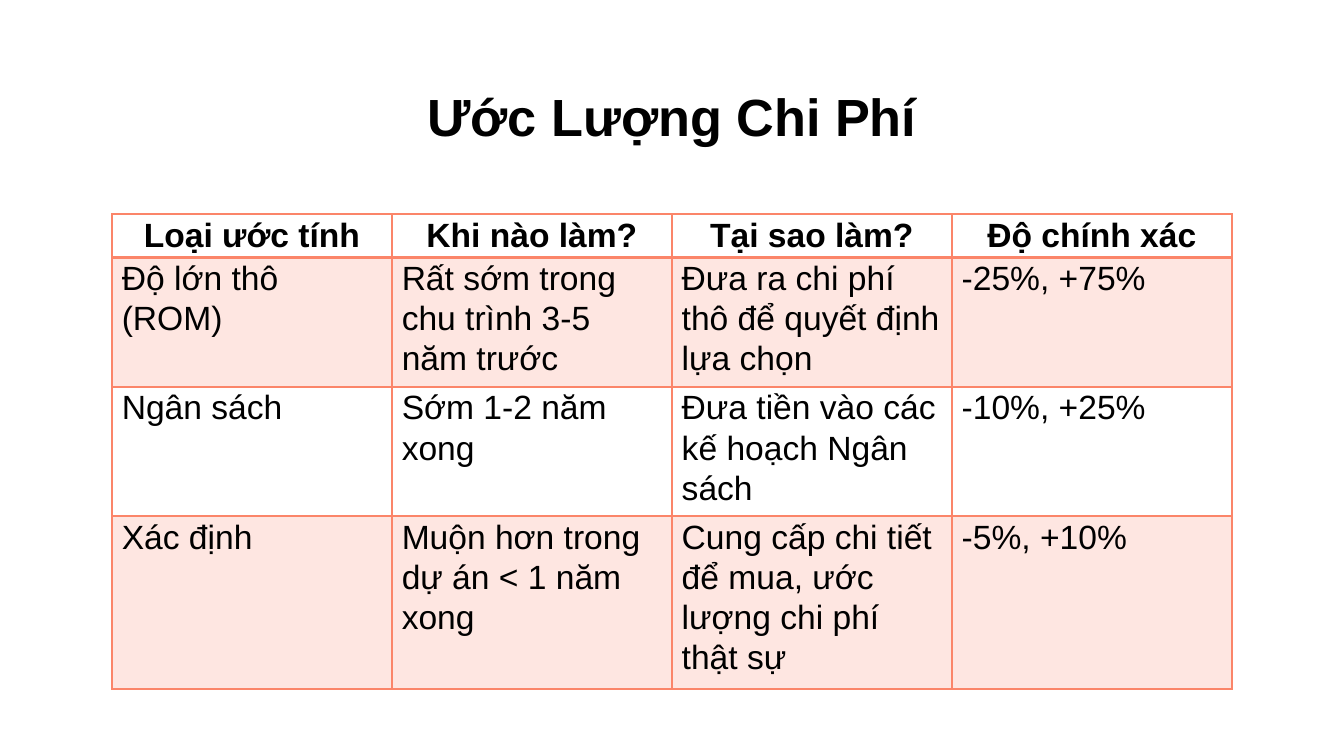
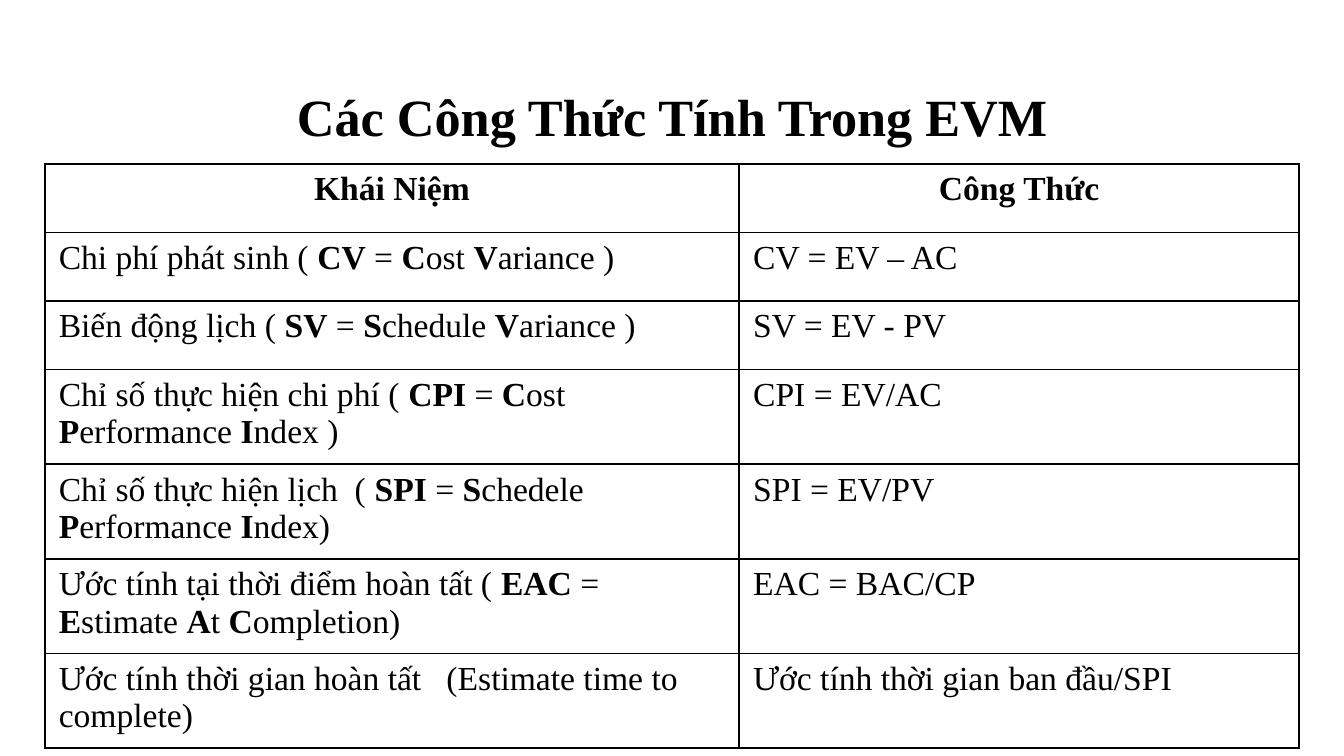
from lxml.etree import SubElement
from pptx import Presentation
from pptx.dml.color import RGBColor
from pptx.enum.text import MSO_ANCHOR, PP_ALIGN
from pptx.oxml.ns import qn
from pptx.util import Pt

PX = 9525  # EMU in one px, 96 px to the inch
COLORS = {"text": "000000", "coral": "FB8569", "black": "000000"}
TITLE_BOX = [75 * PX, 57 * PX, 810 * PX, 51 * PX]
TITLE_SIZE, TABLE_SIZE = 28, 18

# In cell text, asterisks switch bold on and off.
SLIDES = [
    {
        "title": "Ước Lượng Chi Phí",
        "font": "Arial",
        "line": "coral",
        "header_rule": 2,
        "banded": True,
        "origin": (80, 153),
        "columns": [200] * 4,
        "rows": [27, 84, 84, 112],
        "margins": (7, 0),
        "line_spacing": 1.07,
        "space_after": 8,
        "cells": [
            ["*Loại ước tính*", "*Khi nào làm?*", "*Tại sao làm?*", "*Độ chính xác*"],
            ["Độ lớn thô (ROM)", "Rất sớm trong chu trình 3-5 năm trước",
             "Đưa ra chi phí thô để quyết định lựa chọn", "-25%, +75%"],
            ["Ngân sách", "Sớm 1-2 năm xong",
             "Đưa tiền vào các kế hoạch Ngân sách", "-10%, +25%"],
            ["Xác định", "Muộn hơn trong dự án < 1 năm xong",
             "Cung cấp chi tiết để mua, ước lượng chi phí thật sự", "-5%, +10%"],
        ],
    },
    {
        "title": "Các Công Thức Tính Trong EVM",
        "font": "Times New Roman",
        "line": "black",
        "header_rule": 1,
        "banded": False,
        "origin": (32, 117),
        "columns": [496, 400],
        "rows": [49] * 7,
        "margins": (10, 5),
        "line_spacing": 1.0,
        "space_after": 0,
        "cells": [
            ["*Khái Niệm*", "*Công Thức*"],
            ["Chi phí phát sinh ( *CV* = *C*ost *V*ariance )", "CV = EV – AC"],
            ["Biến động lịch ( *SV* = *S*chedule *V*ariance )", "SV = EV - PV"],
            ["Chỉ số thực hiện chi phí ( *CPI* = *C*ost *P*erformance *I*ndex )",
             "CPI = EV/AC"],
            ["Chỉ số thực hiện lịch  ( *SPI *= *S*chedele *P*erformance *I*ndex)",
             "SPI = EV/PV"],
            ["Ước tính tại thời điểm hoàn tất ( *EAC *= *E*stimate *A*t *C*ompletion)",
             "EAC = BAC/CP"],
            ["Ước tính thời gian hoàn tất   (Estimate time to complete)",
             "Ước tính thời gian ban đầu/SPI"],
        ],
    },
]


def add_runs(paragraph, marked_text, font_name, size):
    """Add one run for each stretch of plain or bold text."""
    for index, part in enumerate(marked_text.split("*")):
        if part:
            run = paragraph.add_run()
            run.text = part
            run.font.name = font_name
            run.font.size = Pt(size)
            run.font.bold = index % 2 == 1
            run.font.color.rgb = RGBColor.from_string(COLORS["text"])


def add_border(cell, side, color, width):
    properties = cell._tc.get_or_add_tcPr()
    line = SubElement(properties, qn(f"a:ln{side}"), w=str(Pt(width)))
    fill = SubElement(line, qn("a:solidFill"))
    SubElement(fill, qn("a:srgbClr"), val=color)


presentation = Presentation()
presentation.slide_width = 960 * PX
presentation.slide_height = 540 * PX

for content in SLIDES:
    slide = presentation.slides.add_slide(presentation.slide_layouts[6])
    color = COLORS[content["line"]]

    title_frame = slide.shapes.add_textbox(*TITLE_BOX).text_frame
    title_frame.word_wrap = True
    title_frame.vertical_anchor = MSO_ANCHOR.MIDDLE
    title_frame.margin_left = title_frame.margin_right = 10 * PX
    title_frame.margin_top = title_frame.margin_bottom = 10 * PX
    title_frame.paragraphs[0].alignment = PP_ALIGN.CENTER
    add_runs(title_frame.paragraphs[0], f"*{content['title']}*", content["font"], TITLE_SIZE)

    left, top = content["origin"]
    widths, heights = content["columns"], content["rows"]
    table = slide.shapes.add_table(
        len(heights), len(widths),
        left * PX, top * PX, sum(widths) * PX, sum(heights) * PX,
    ).table
    table.first_row = table.horz_banding = False
    for column, width in zip(table.columns, widths):
        column.width = width * PX
    for row, height in zip(table.rows, heights):
        row.height = height * PX

    side_margin, edge_margin = content["margins"]
    for row_index, texts in enumerate(content["cells"]):
        for column_index, text in enumerate(texts):
            cell = table.cell(row_index, column_index)
            cell.margin_left = cell.margin_right = side_margin * PX
            cell.margin_top = cell.margin_bottom = edge_margin * PX

            paragraph = cell.text_frame.paragraphs[0]
            paragraph.alignment = PP_ALIGN.CENTER if row_index == 0 else PP_ALIGN.LEFT
            paragraph.line_spacing = content["line_spacing"]
            paragraph.space_after = Pt(content["space_after"])
            add_runs(paragraph, text, content["font"], TABLE_SIZE)

            for side in "LRTB":
                below_header = (row_index, side) in [(0, "B"), (1, "T")]
                add_border(cell, side, color, content["header_rule"] if below_header else 1)

            if content["banded"] and row_index % 2 == 1:
                cell.fill.solid()
                cell.fill.fore_color.rgb = RGBColor.from_string(color)
                fill_color = cell._tc.tcPr.find(qn("a:solidFill")).find(qn("a:srgbClr"))
                SubElement(fill_color, qn("a:alpha"), val="20000")
            else:
                cell.fill.background()

presentation.save("out.pptx")
